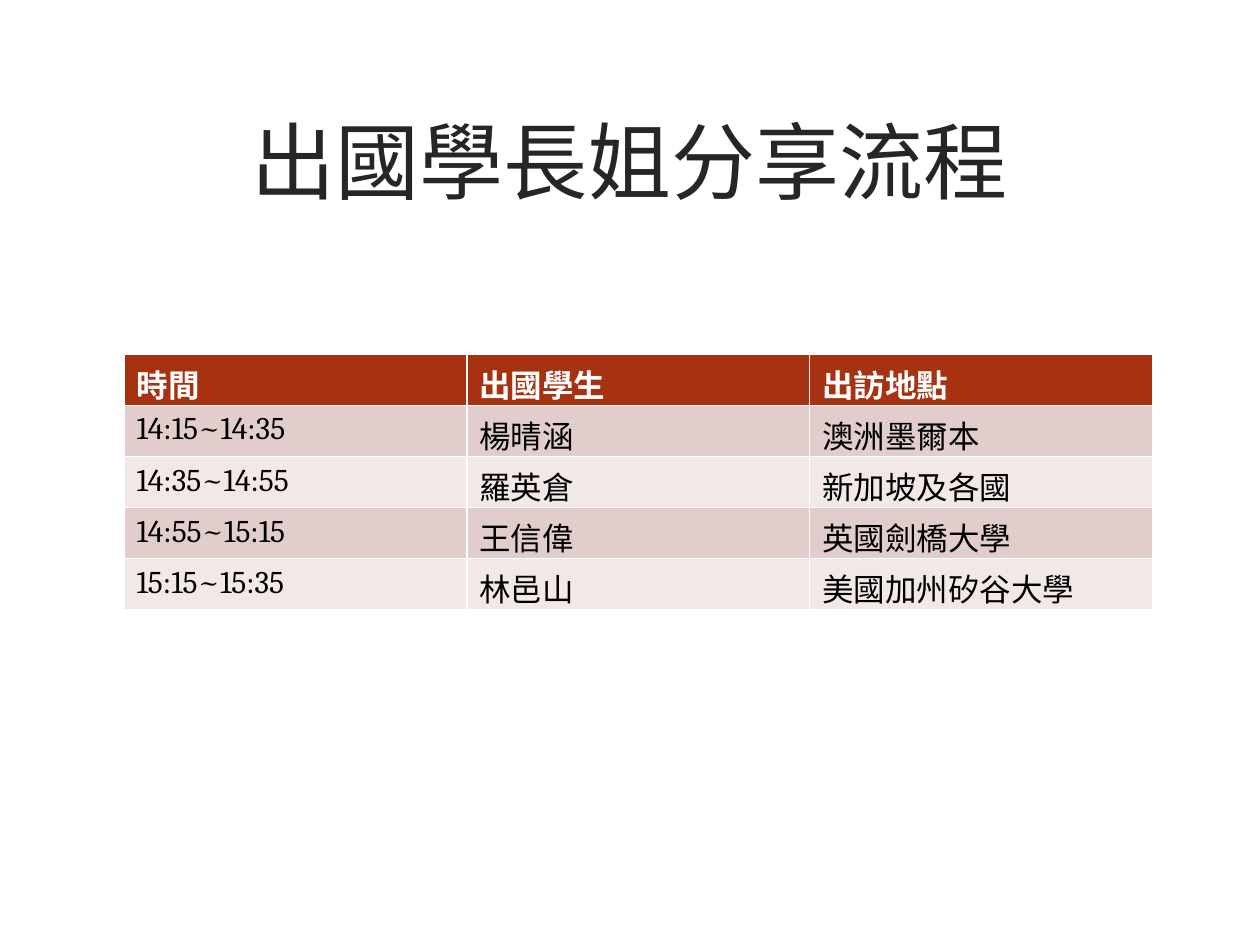
from pptx import Presentation
from pptx.dml.color import RGBColor
from pptx.enum.text import MSO_ANCHOR as Anchor, PP_ALIGN as Align
from pptx.oxml.ns import qn
from pptx.util import Cm, Pt

# Content
TITLE = "出國學長姐分享流程"
HEADINGS = ["時間", "出國學生", "出訪地點"]
SESSIONS = [
    ("14:15~14:35", "楊晴涵", "澳洲墨爾本"),
    ("14:35~14:55", "羅英倉", "新加坡及各國"),
    ("14:55~15:15", "王信偉", "英國劍橋大學"),
    ("15:15~15:35", "林邑山", "美國加州矽谷大學"),
]

# Look
CJK, LATIN = "Noto Sans CJK SC", "Cambria"
HEADER_FILL = "A63212"
BAND_FILLS = ["E1CECC", "F1E8E7"]
COLUMN_WIDTH, ROW_HEIGHT = 6.91, 1.03


def rgb(value):
    return RGBColor.from_string(value)


def style(paragraph, size, color, face=CJK, bold=False):
    font = paragraph.font
    font.size, font.bold, font.name = Pt(size), bold, face
    font.color.rgb = rgb(color)
    # East Asian characters take their own typeface
    east_asian = font._element.makeelement(qn("a:ea"), {"typeface": CJK})
    font._element.find(qn("a:latin")).addnext(east_asian)


deck = Presentation()
deck.slide_width, deck.slide_height = Cm(25.4), Cm(19.05)
slide = deck.slides.add_slide(deck.slide_layouts[6])

# Title
title = slide.shapes.add_textbox(Cm(1.52), Cm(1.22), Cm(22.33), Cm(4.01)).text_frame
title.word_wrap = True
title.vertical_anchor = Anchor.MIDDLE
title.text = TITLE
title.paragraphs[0].alignment = Align.CENTER
style(title.paragraphs[0], 48, "262626")

# Schedule: the table style supplies the white cell borders
rows = [HEADINGS, *SESSIONS]
schedule = slide.shapes.add_table(
    len(rows), len(HEADINGS), Cm(2.5), Cm(7.14),
    Cm(COLUMN_WIDTH * len(HEADINGS)), Cm(ROW_HEIGHT * len(rows))).table

for column in schedule.columns:
    column.width = Cm(COLUMN_WIDTH)

for r, row in enumerate(rows):
    schedule.rows[r].height = Cm(ROW_HEIGHT)
    is_header = r == 0
    fill = HEADER_FILL if is_header else BAND_FILLS[(r - 1) % 2]
    for c, text in enumerate(row):
        cell = schedule.cell(r, c)
        cell.text = text
        cell.fill.solid()
        cell.fill.fore_color.rgb = rgb(fill)
        is_time = c == 0 and not is_header
        style(cell.text_frame.paragraphs[0], 18,
              "FFFFFF" if is_header else "000000",
              LATIN if is_time else CJK, is_header)

deck.save("out.pptx")
